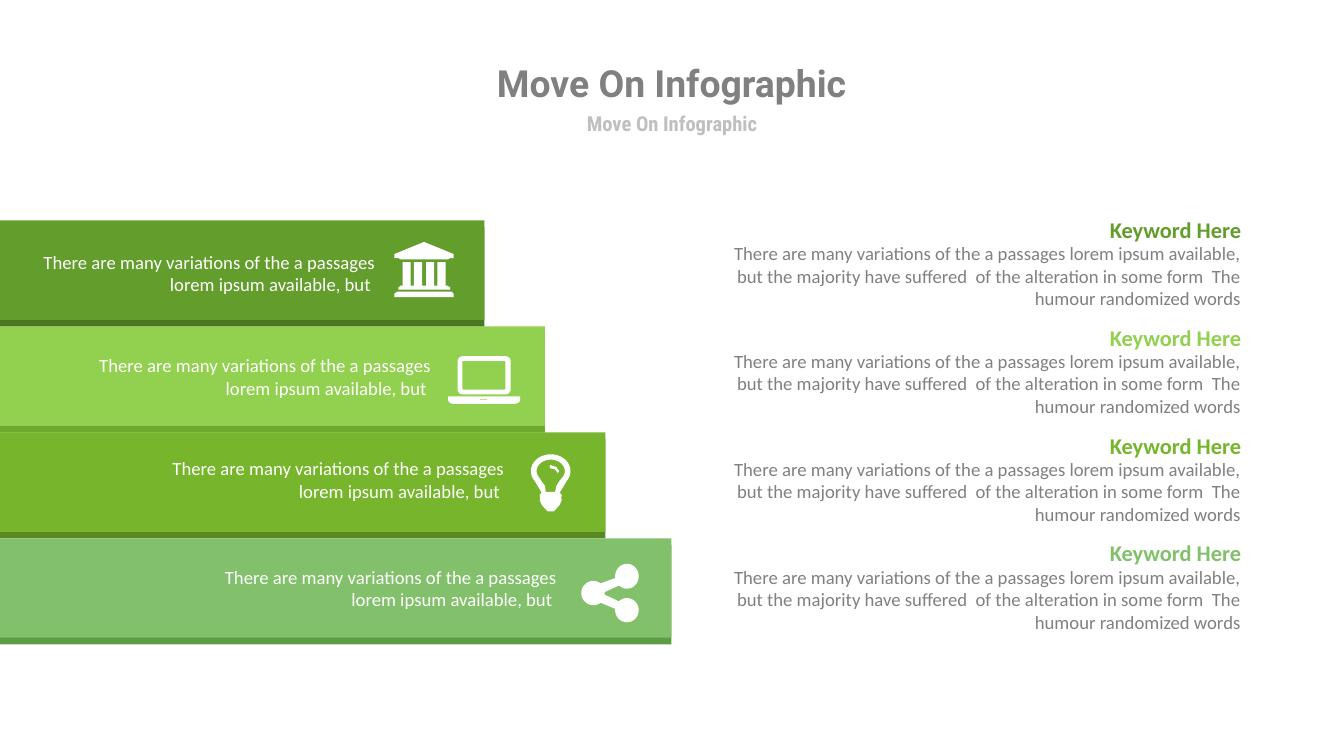
from dataclasses import dataclass
from math import cos, radians, sin

from pptx import Presentation
from pptx.dml.color import RGBColor
from pptx.enum import shapes, text
from pptx.util import Inches, Pt

Point = tuple[float, float]
Contour = list[Point]

COLORS = {
    "white": "FFFFFF", "gray": "808080", "light gray": "BFBFBF",
    "forest": "639D2C", "forest edge": "4A7621",
    "lime": "92D050", "lime edge": "6EAA2E",
    "leaf": "77B52D", "leaf edge": "598822",
    "sage": "82C06C", "sage edge": "5B9D44",
}
TITLE = "Move On Infographic"
KEYWORD = "Keyword Here"
BAR_TEXT = "There are many variations of the a passages lorem ipsum available, but "
DETAIL = ("There are many variations of the a passages lorem ipsum available, "
          "but the majority have suffered  of the alteration in some form  "
          "The humour randomized words")

BAR_TOP, BAR_STEP, BAR_HEIGHT, EDGE = 3.28, 4.73 / 3, 1.48, 0.1
KEYWORD_TOP, KEYWORD_STEP = 3.21, 4.82 / 3

CENTER, RIGHT = text.PP_ALIGN.CENTER, text.PP_ALIGN.RIGHT
TITLE_FORMAT = {"name": "Roboto", "size": Pt(40), "bold": True}
SUBTITLE_FORMAT = {"name": "Roboto Condensed", "size": Pt(22), "bold": True}
KEYWORD_FORMAT = {"name": "Calibri", "size": Pt(24), "bold": True}
BODY_FORMAT = {"name": "Calibri", "size": Pt(20), "bold": False}


@dataclass
class Step:
    color: str
    width: float
    text_at: Point
    icon_at: Point
    icon: list[Contour]


# Outline helpers, in inches from the icon's top left corner
def arc(x: float, y: float, radius_x: float, radius_y: float,
        start: int, end: int) -> Contour:
    count = max(2, (end - start) // 8)
    angles = [radians(start + (end - start) * i / count) for i in range(count + 1)]
    return [(x + radius_x * cos(a), y + radius_y * sin(a)) for a in angles]


def round_box(left: float, top: float, right: float, bottom: float,
              radius: float) -> Contour:
    corners = [(right - radius, bottom - radius), (left + radius, bottom - radius),
               (left + radius, top + radius), (right - radius, top + radius)]
    return [point for i, (x, y) in enumerate(corners)
            for point in arc(x, y, radius, radius, 90 * i, 90 * i + 90)]


def bank() -> list[Contour]:
    roof = [(0.44, 0), (0.88, 0.18), (0.88, 0.24), (0.83, 0.24), (0.79, 0.26),
            (0.09, 0.26), (0.06, 0.24), (0, 0.24), (0, 0.18)]
    columns = [point for x in (0.12, 0.29, 0.47, 0.64)
               for point in ((x, 0.65), (x, 0.3), (x + 0.12, 0.3), (x + 0.12, 0.65))]
    plinth = [(0.79, 0.65), (0.83, 0.68), (0.83, 0.71),
              (0.06, 0.71), (0.06, 0.68), (0.09, 0.65)]
    base = [(0.04, 0.74), (0.85, 0.74), (0.88, 0.77),
            (0.88, 0.82), (0, 0.82), (0, 0.77)]
    return [roof, columns + plinth, base]


def laptop() -> list[Contour]:
    base = [(0, 0.6), (1.07, 0.6), (1.07, 0.65)]
    base += arc(0.97, 0.65, 0.1, 0.06, 0, 90) + arc(0.08, 0.65, 0.08, 0.06, 90, 180)
    notch = [(0.47, 0.64), (0.58, 0.64), (0.58, 0.65), (0.47, 0.65)]
    return [base, round_box(0.14, 0, 0.93, 0.57, 0.08),
            round_box(0.21, 0.07, 0.85, 0.5, 0.02), notch]


def bulb() -> list[Contour]:
    screw = [(0.43, 0.57), (0.46, 0.61), (0.45, 0.65), (0.46, 0.68), (0.43, 0.75),
             (0.38, 0.81), (0.34, 0.85)]
    mirrored = [(0.59 - x, y) for x, y in reversed(screw)]
    glass = arc(0.295, 0.25, 0.295, 0.25, 143, 397)
    hollow = arc(0.295, 0.25, 0.21, 0.17, 140, 400)
    hollow += [(0.43, 0.39), (0.38, 0.47), (0.36, 0.56),
               (0.22, 0.56), (0.21, 0.47), (0.15, 0.39)]
    glint = [(0.4, 0.28), (0.38, 0.25), (0.35, 0.22), (0.29, 0.21),
             (0.28, 0.18), (0.29, 0.16), (0.38, 0.19), (0.42, 0.25)]
    return [glass + screw + mirrored, hollow, glint]


def share() -> list[Contour]:
    return [arc(0.18, 0.435, 0.18, 0.18, 53, 307)
            + arc(0.68, 0.185, 0.175, 0.185, 172, 492)
            + [(0.35, 0.42), (0.35, 0.46)]
            + arc(0.68, 0.69, 0.175, 0.18, 227, 546)]


STEPS = [
    Step("forest", 7.21, (0.58, 3.73), (5.87, 3.6), bank()),
    Step("lime", 8.11, (1.41, 5.27), (6.67, 5.3), laptop()),
    Step("leaf", 9.01, (2.5, 6.8), (7.9, 6.76), bulb()),
    Step("sage", 9.99, (3.28, 8.42), (8.65, 8.39), share()),
]


def paint(shape, color: str) -> None:
    shape.shadow.inherit = False
    shape.fill.solid()
    shape.fill.fore_color.rgb = RGBColor.from_string(COLORS[color])
    shape.line.fill.background()


def add_bar(slide, top: float, width: float, color: str) -> None:
    paint(slide.shapes.add_shape(shapes.MSO_SHAPE.RECTANGLE, 0, Inches(top),
                                 Inches(width), Inches(BAR_HEIGHT)), color)


def add_icon(slide, at: Point, contours: list[Contour]) -> None:
    builder = None
    for contour in contours:
        start, *rest = [(Inches(x), Inches(y)) for x, y in contour]
        if builder is None:
            builder = slide.shapes.build_freeform(*start)
        else:
            builder.move_to(*start)
        builder.add_line_segments(rest, close=True)
    paint(builder.convert_to_shape(Inches(at[0]), Inches(at[1])), "white")


def add_text(slide, box: tuple[float, float, float, float], words: str, color: str,
             font_format: dict, align=RIGHT, one_line: bool = False) -> None:
    frame = slide.shapes.add_textbox(*map(Inches, box)).text_frame
    frame_format = {
        "margin_left": 0, "margin_right": 0, "margin_top": 0, "margin_bottom": 0,
        "word_wrap": not one_line,
        "vertical_anchor": text.MSO_ANCHOR.MIDDLE if one_line else text.MSO_ANCHOR.TOP,
    }
    for name, value in frame_format.items():
        setattr(frame, name, value)
    paragraph = frame.paragraphs[0]
    paragraph.alignment = align
    run = paragraph.add_run()
    run.text = words
    for name, value in font_format.items():
        setattr(run.font, name, value)
    run.font.color.rgb = RGBColor.from_string(COLORS[color])


def main() -> None:
    presentation = Presentation()
    presentation.slide_width, presentation.slide_height = Inches(20), Inches(11.25)
    slide = presentation.slides.add_slide(presentation.slide_layouts[6])

    # Heading
    add_text(slide, (3.83, 0.85, 12.33, 0.77), TITLE, "gray", TITLE_FORMAT, CENTER, True)
    add_text(slide, (5.5, 1.62, 9, 0.44), TITLE, "light gray", SUBTITLE_FORMAT, CENTER, True)

    for i, step in enumerate(STEPS):
        # Bar with its darker lower edge, icon and caption
        top = BAR_TOP + i * BAR_STEP
        add_bar(slide, top + EDGE, step.width, f"{step.color} edge")
        add_bar(slide, top, step.width, step.color)
        add_icon(slide, step.icon_at, step.icon)
        add_text(slide, (*step.text_at, 5, 0.67), BAR_TEXT, "white", BODY_FORMAT)

        # Keyword and description
        top = KEYWORD_TOP + i * KEYWORD_STEP
        add_text(slide, (10.62, top + 0.39, 7.84, 1.01), DETAIL, "gray", BODY_FORMAT)
        add_text(slide, (16.51, top, 1.96, 0.4), KEYWORD, step.color,
                 KEYWORD_FORMAT, one_line=True)

    presentation.save("out.pptx")


if __name__ == "__main__":
    main()
